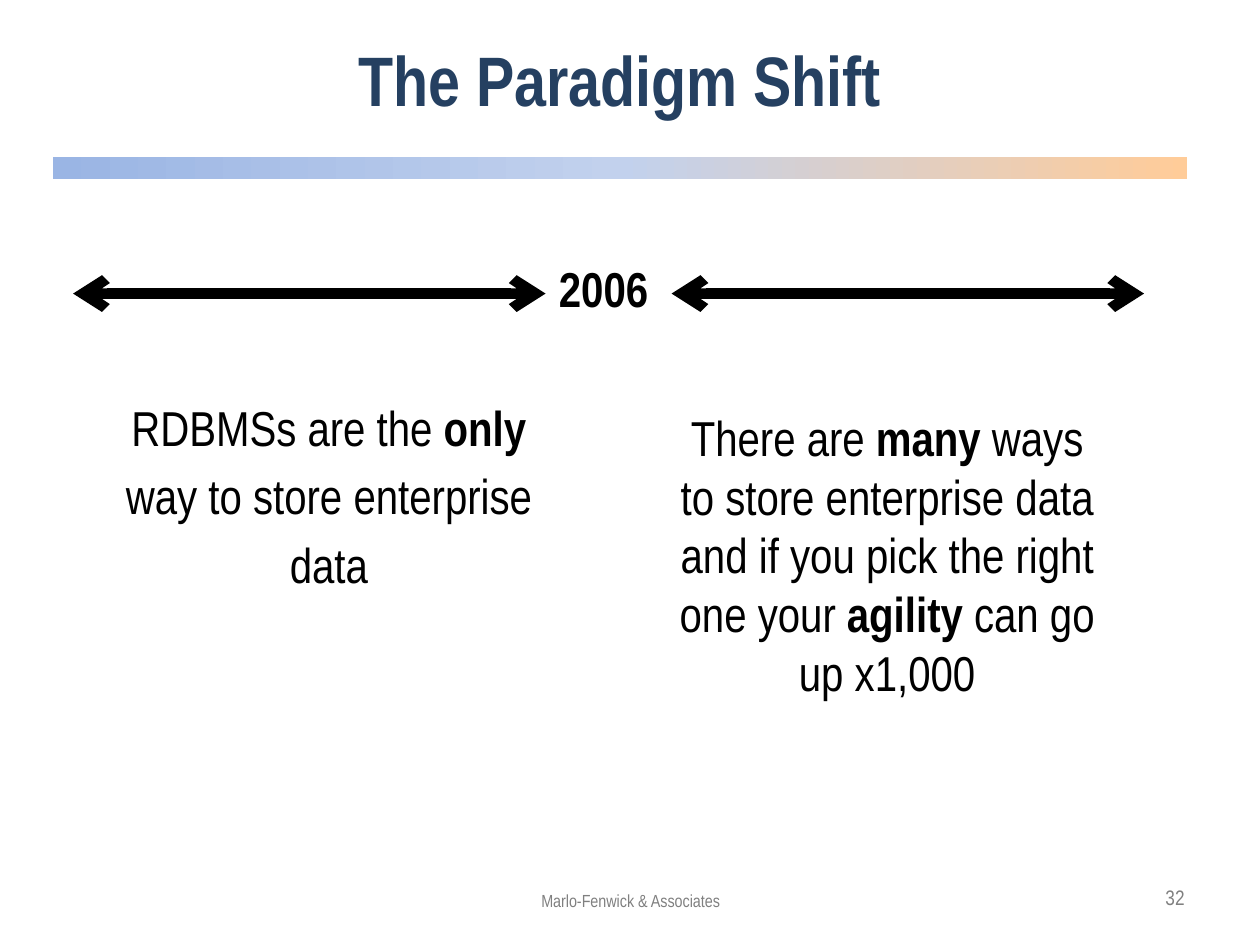
from copy import deepcopy

from lxml.etree import SubElement
from pptx import Presentation
from pptx.dml.color import RGBColor
from pptx.enum.shapes import MSO_CONNECTOR, MSO_SHAPE
from pptx.enum.text import MSO_ANCHOR, MSO_AUTO_SIZE, PP_ALIGN
from pptx.oxml.ns import qn
from pptx.util import Inches, Pt


def color(hex_value):
    return RGBColor.from_string(hex_value)


class SlideBuilder:
    FONT = "Arial Narrow"
    BLACK, NAVY, GRAY = "000000", "254061", "808080"
    BAND_STOPS = ((0, "9AB5E4"), (0.5, "C2D1ED"), (1, "FFCC99"))

    def __init__(self, slide):
        self.slide = slide

    def band(self, *box):
        band = self.slide.shapes.add_shape(MSO_SHAPE.RECTANGLE, *map(Inches, box))
        band.shadow.inherit = False
        band.line.fill.background()
        band.fill.gradient()
        band.fill.gradient_angle = 0
        # The default gradient has two stops; add the middle one
        first_stop = band.fill._xPr.find(".//" + qn("a:gs"))
        first_stop.addnext(deepcopy(first_stop))
        for stop, (position, hue) in zip(band.fill.gradient_stops, self.BAND_STOPS):
            stop.position = position
            stop.color.rgb = color(hue)

    def text(self, box, lines, size=28, hue=BLACK, align=PP_ALIGN.CENTER,
             wrap=True, grow=False, space_before=0):
        """Write one paragraph per line; words between asterisks are bold."""
        frame = self.slide.shapes.add_textbox(*map(Inches, box)).text_frame
        frame_format = {
            "word_wrap": wrap,
            "vertical_anchor": MSO_ANCHOR.MIDDLE,
            "auto_size": MSO_AUTO_SIZE.SHAPE_TO_FIT_TEXT if grow else MSO_AUTO_SIZE.NONE,
        }
        for name, value in frame_format.items():
            setattr(frame, name, value)
        for index, line in enumerate(lines):
            paragraph = frame.add_paragraph() if index else frame.paragraphs[0]
            paragraph.alignment = align
            paragraph.space_before = Pt(space_before)
            for part, words in enumerate(line.split("*")):
                if not words:
                    continue
                run = paragraph.add_run()
                run.text = words
                run_format = {"name": self.FONT, "size": Pt(size), "bold": part % 2 == 1}
                for name, value in run_format.items():
                    setattr(run.font, name, value)
                run.font.color.rgb = color(hue)

    def double_arrow(self, left, top, length):
        arrow = self.slide.shapes.add_connector(
            MSO_CONNECTOR.STRAIGHT,
            *map(Inches, (left, top, left + length, top)))
        arrow.line.color.rgb = color(self.BLACK)
        arrow.line.width = Pt(6)
        for end in ("a:headEnd", "a:tailEnd"):
            SubElement(arrow.line._get_or_add_ln(), qn(end), type="arrow")
        SubElement(arrow._element.spPr, qn("a:effectLst"))


def main():
    deck = Presentation()
    deck.slide_width, deck.slide_height = Inches(10), Inches(7.5)
    builder = SlideBuilder(deck.slides.add_slide(deck.slide_layouts[6]))

    # Title and band
    builder.band(0.42, 1.25, 9, 0.17)
    builder.text((0.42, 0, 9, 1.25), ["*The Paradigm Shift*"], 40, builder.NAVY)

    # Footer
    builder.text((8.92, 6.92, 0.58, 0.4), ["32"], 12, builder.GRAY, PP_ALIGN.RIGHT)
    builder.text((3.42, 6.95, 3.17, 0.4), ["Marlo-Fenwick & Associates"], 10, builder.GRAY)

    # Timeline before and after the turning year
    for era_start in (0.58, 5.33):
        builder.double_arrow(era_start, 2.33, 3.75)
    era_text = {"grow": True, "space_before": 5.6}
    builder.text((4.33, 2, 0.92, 0.57), ["*2006*"], wrap=False, **era_text)

    # What each era believes
    builder.text((0.88, 3.08, 3.46, 1.7),
                 ["RDBMSs are the *only*", "way to store enterprise", "data"],
                 wrap=False, **era_text)
    builder.text((5.25, 3.17, 3.58, 2.46),
                 ["There are *many* ways to store enterprise data and if you "
                  "pick the right one your *agility* can go up x1,000"],
                 **era_text)

    deck.save("out.pptx")


if __name__ == "__main__":
    main()
